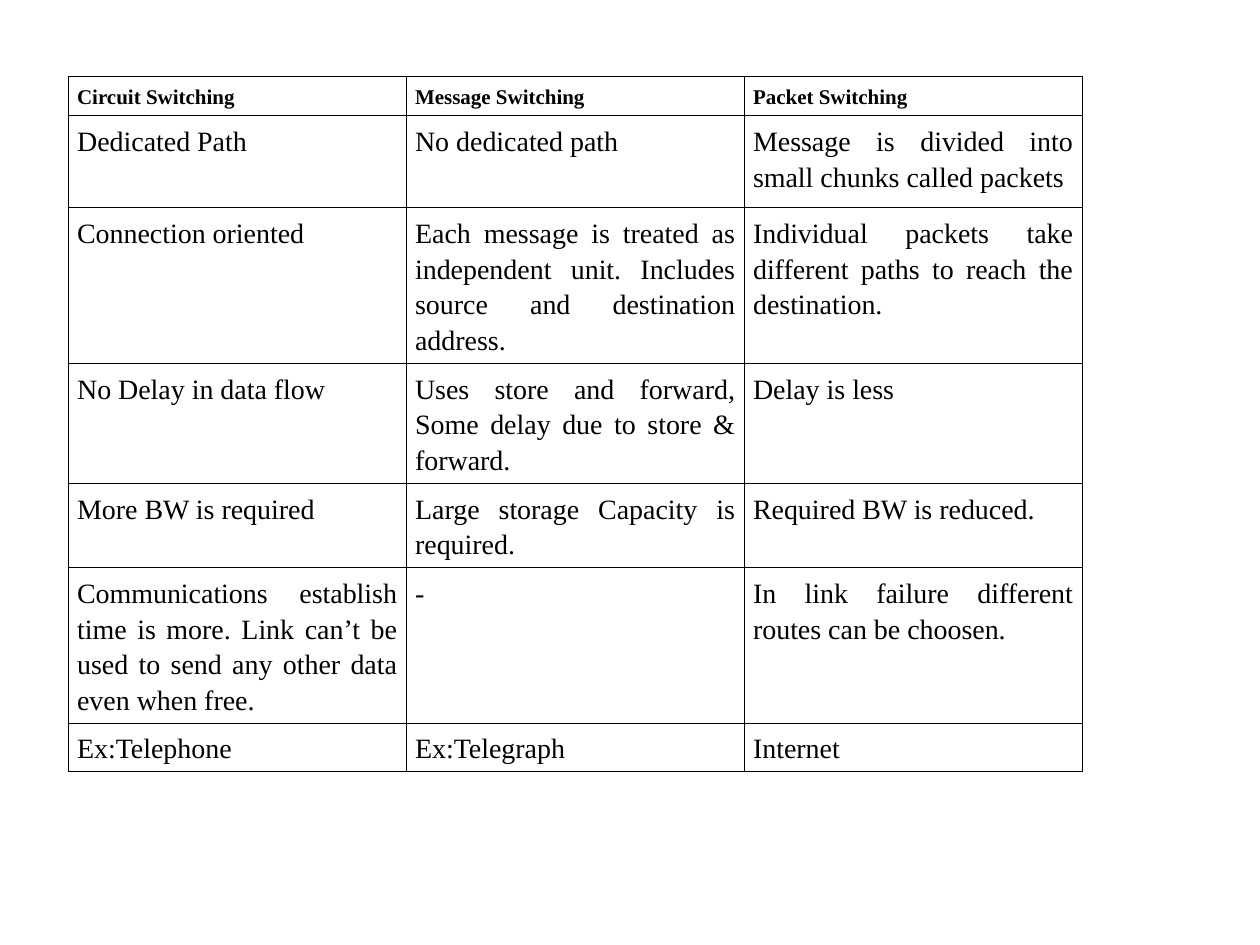
from dataclasses import dataclass

from lxml.etree import SubElement
from pptx import Presentation
from pptx.dml.color import RGBColor as Color
from pptx.enum.text import PP_ALIGN as Align
from pptx.oxml.ns import qn
from pptx.util import Pt


@dataclass
class Theme:
    font: str = "Times New Roman"
    ink: str = "000000"
    head: int = 12
    body: int = 16


theme = Theme()

# Slide
deck = Presentation()
deck.slide_width, deck.slide_height = Pt(720), Pt(540)
slide = deck.slides.add_slide(deck.slide_layouts[6])

# Wording: one heading row, then one row per feature
rows = [
    ("Circuit Switching", "Message Switching", "Packet Switching"),
    ("Dedicated Path", "No dedicated path",
     "Message is divided into small chunks called packets"),
    ("Connection oriented",
     "Each message is treated as independent unit. "
     "Includes source and destination address.",
     "Individual packets take different paths to reach the destination."),
    ("No Delay in data flow",
     "Uses store and forward, Some delay due to store & forward.",
     "Delay is less"),
    ("More BW is required", "Large storage Capacity is required.",
     "Required BW is reduced."),
    ("Communications establish time is more. "
     "Link can’t be used to send any other data even when free.",
     "-", "In link failure different routes can be choosen."),
    ("Ex:Telephone", "Ex:Telegraph", "Internet"),
]
heights = [17.5, 52.5, 88.5, 66.5, 44, 88.5, 22.5]
width = 193.15

# Table
frame = slide.shapes.add_table(len(rows), 3, Pt(39), Pt(43.5),
                               Pt(3 * width), Pt(sum(heights)))
table = frame.table
table.first_row = table.horz_banding = False
for col in table.columns:
    col.width = Pt(width)


def add_edges(cell):
    """Rule all four sides of a cell."""
    props = cell._tc.get_or_add_tcPr()
    for side in ("lnL", "lnR", "lnT", "lnB"):
        line = SubElement(props, qn(f"a:{side}"), w=str(Pt(0.45)))
        fill = SubElement(line, qn("a:solidFill"))
        SubElement(fill, qn("a:srgbClr"), val=theme.ink)


# Cells
for r, (texts, height) in enumerate(zip(rows, heights)):
    table.rows[r].height = Pt(height)
    for c, text in enumerate(texts):
        cell = table.cell(r, c)
        cell.margin_left = cell.margin_right = Pt(5.1)
        cell.margin_top = cell.margin_bottom = Pt(3.6)
        add_edges(cell)
        cell.fill.background()

        para = cell.text_frame.paragraphs[0]
        para.text = text
        para.alignment = Align.JUSTIFY
        para.line_spacing = 1.15
        font = para.runs[0].font
        font.name = theme.font
        font.size = Pt(theme.body if r else theme.head)
        font.bold = r == 0
        font.color.rgb = Color.from_string(theme.ink)

deck.save("out.pptx")
